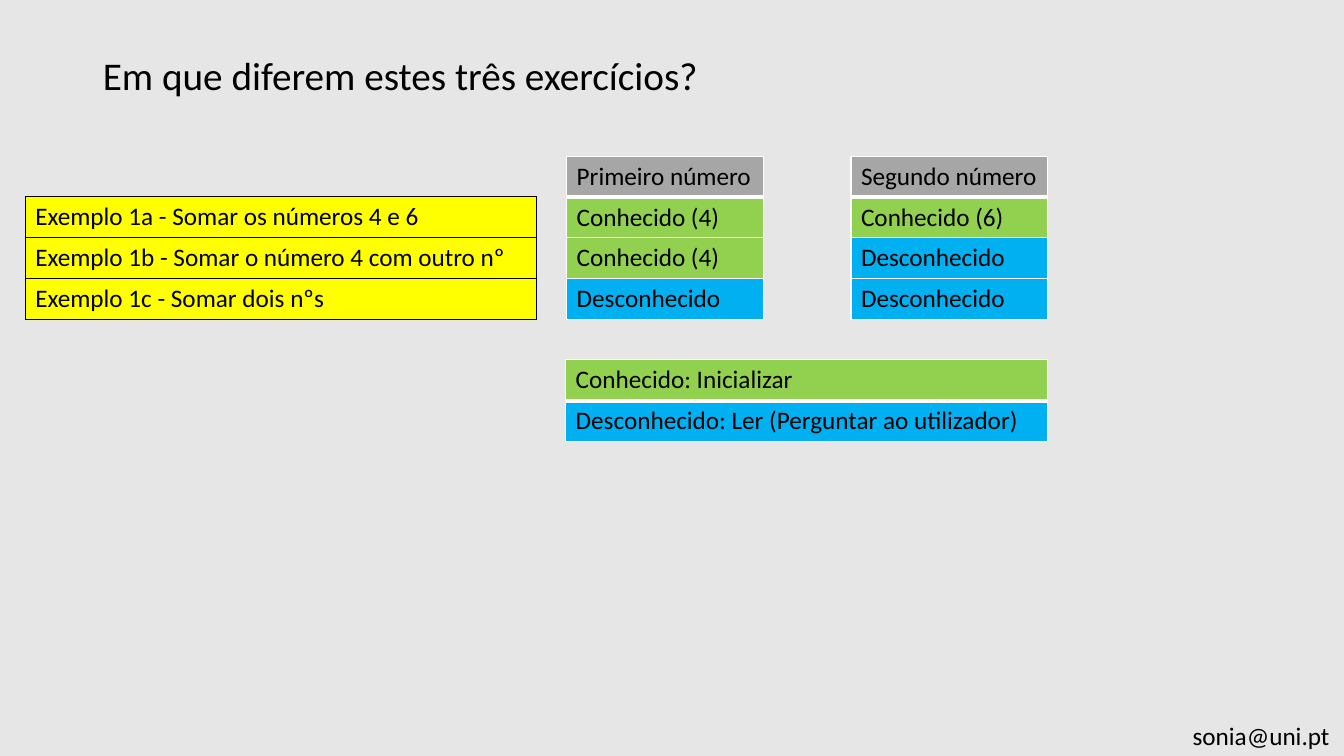
"""Build a slide that compares three addition exercises."""

from dataclasses import dataclass

from lxml import etree
from pptx import Presentation
from pptx.dml.color import RGBColor
from pptx.enum.text import MSO_ANCHOR, MSO_AUTO_SIZE, PP_ALIGN
from pptx.oxml.ns import qn
from pptx.slide import Slide
from pptx.table import _Cell
from pptx.text.text import TextFrame
from pptx.util import Inches, Pt

LEFT = PP_ALIGN.LEFT
TOP = MSO_ANCHOR.TOP
FIXED = MSO_AUTO_SIZE.NONE
GROW = MSO_AUTO_SIZE.SHAPE_TO_FIT_TEXT


@dataclass(frozen=True)
class Theme:
    font: str = "Calibri"
    title: int = 28
    body: int = 18
    back: str = "E7E6E6"
    ink: str = "000000"
    white: str = "FFFFFF"
    head: str = "A6A6A6"
    task: str = "FFFF00"
    known: str = "92D050"
    asked: str = "00B0F0"


THEME = Theme()


@dataclass(frozen=True)
class Row:
    text: str
    fill: str


@dataclass(frozen=True)
class Grid:
    left: float
    top: float
    width: float
    height: float
    rows: tuple[Row, ...]
    edge: str = THEME.white
    line: float = 1
    rule: float = 3


FOUR = Row("Conhecido (4)", THEME.known)
SIX = Row("Conhecido (6)", THEME.known)
ASKED = Row("Desconhecido", THEME.asked)

GRIDS = (
    Grid(0.25, 1.95, 5.07, 1.22, (
        Row("Exemplo 1a - Somar os números 4 e 6", THEME.task),
        Row("Exemplo 1b - Somar o número 4 com outro nº", THEME.task),
        Row("Exemplo 1c - Somar dois nºs", THEME.task),
    ), THEME.ink, 0.5, 0.5),
    Grid(5.62, 1.55, 1.95, 1.62,
         (Row("Primeiro número", THEME.head), FOUR, FOUR, ASKED)),
    Grid(8.44, 1.55, 1.95, 1.62,
         (Row("Segundo número", THEME.head), SIX, ASKED, ASKED)),
    Grid(5.61, 3.57, 4.78, 0.81, (
        Row("Conhecido: Inicializar", THEME.known),
        Row("Desconhecido: Ler (Perguntar ao utilizador)", THEME.asked),
    )),
)


def write(frame: TextFrame, text: str, size: int) -> None:
    frame.text = text
    para = frame.paragraphs[0]
    para.alignment = LEFT
    font = para.runs[0].font
    font.name = THEME.font
    font.size = Pt(size)
    font.color.rgb = RGBColor.from_string(THEME.ink)


def border(cell: _Cell, color: str, sides: dict[str, float]) -> None:
    props = cell._tc.get_or_add_tcPr()
    for index, (side, width) in enumerate(sides.items()):
        line = etree.Element(qn(f"a:ln{side}"), w=str(Pt(width)))
        fill = etree.SubElement(line, qn("a:solidFill"))
        etree.SubElement(fill, qn("a:srgbClr"), val=color)
        props.insert(index, line)


def add_grid(slide: Slide, grid: Grid) -> None:
    table = slide.shapes.add_table(
        len(grid.rows), 1, Inches(grid.left), Inches(grid.top),
        Inches(grid.width), Inches(grid.height)).table
    table.first_row = False
    table.horz_banding = False
    for index, row in enumerate(grid.rows):
        cell = table.cell(index, 0)
        write(cell.text_frame, row.text, THEME.body)
        cell.fill.solid()
        cell.fill.fore_color.rgb = RGBColor.from_string(row.fill)
        border(cell, grid.edge, {
            "L": grid.line,
            "R": grid.line,
            "T": grid.rule if index == 1 else grid.line,
            "B": grid.rule if index == 0 else grid.line,
        })


def add_title(slide: Slide, text: str) -> None:
    title = slide.shapes.title
    title.left, title.top = Inches(0.92), Inches(0.51)
    title.width, title.height = Inches(11.5), Inches(0.54)
    frame = title.text_frame
    write(frame, text, THEME.title)
    frame.auto_size = FIXED
    frame.vertical_anchor = TOP
    frame.paragraphs[0].line_spacing = 0.9


def add_mail(slide: Slide, text: str) -> None:
    box = slide.shapes.add_textbox(
        Inches(11.73), Inches(7.1), Inches(1.6), Inches(0.4))
    write(box.text_frame, text, THEME.body)
    box.text_frame.word_wrap = False
    box.text_frame.auto_size = GROW


def main() -> None:
    deck = Presentation()
    deck.slide_width, deck.slide_height = Inches(13.33), Inches(7.5)
    slide = deck.slides.add_slide(deck.slide_layouts.get_by_name("Title Only"))
    back = slide.background.fill
    back.solid()
    back.fore_color.rgb = RGBColor.from_string(THEME.back)
    add_mail(slide, "sonia@uni.pt")
    add_title(slide, "Em que diferem estes três exercícios?")
    for grid in GRIDS:
        add_grid(slide, grid)
    deck.save("out.pptx")


if __name__ == "__main__":
    main()
